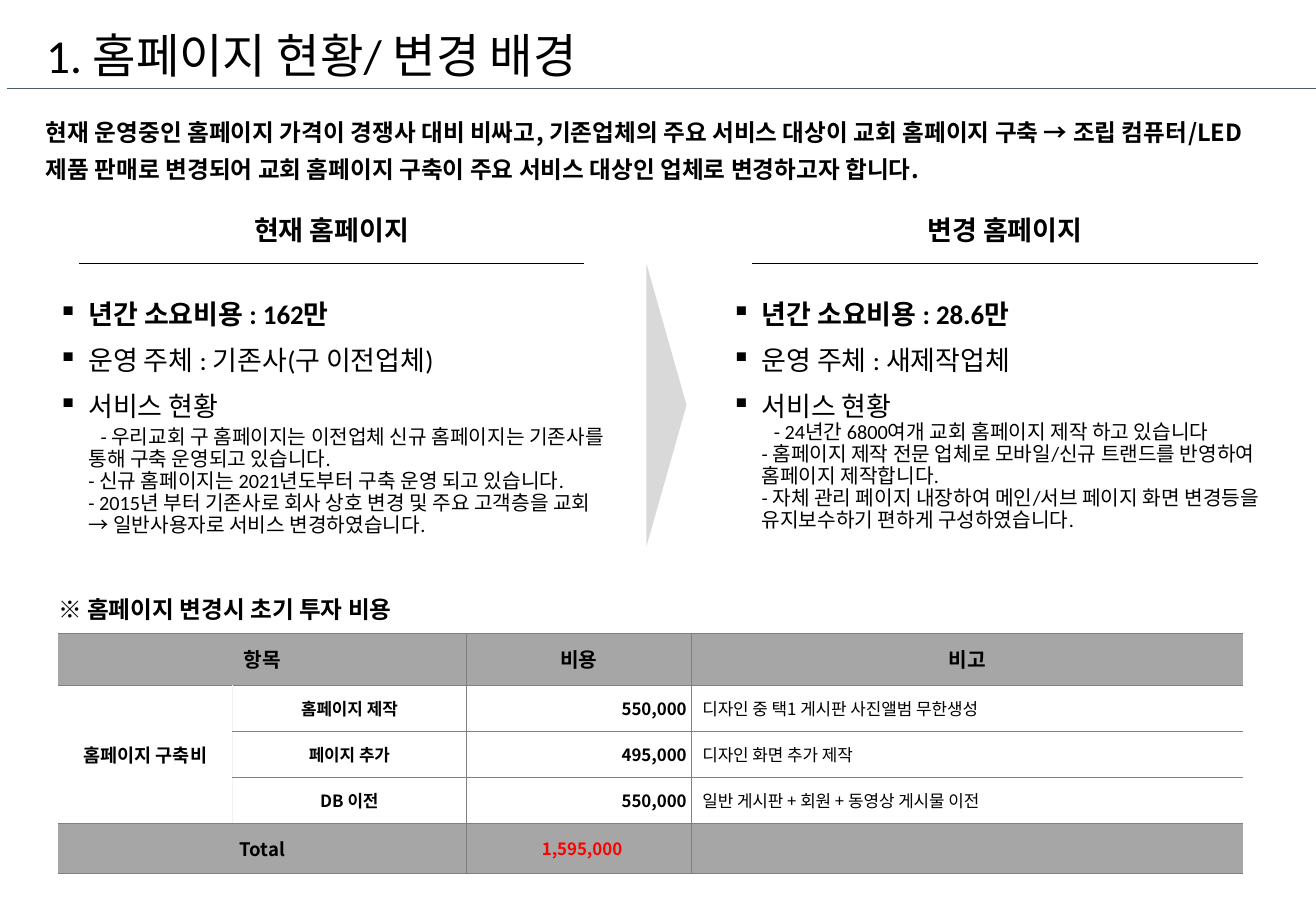
from dataclasses import dataclass

from lxml.etree import SubElement
from pptx import Presentation
from pptx.dml.color import RGBColor
from pptx.enum.shapes import MSO_CONNECTOR, MSO_SHAPE
from pptx.enum.text import MSO_ANCHOR as Anchor, PP_ALIGN as Align
from pptx.oxml.ns import qn
from pptx.util import Inches, Pt


@dataclass(frozen=True)
class Theme:
    text_font: str = "Calibri"
    strong_font: str = "Noto Sans CJK KR"
    black: str = "000000"
    white: str = "FFFFFF"
    red: str = "FF0000"
    band: str = "A6A6A6"
    arrow: str = "D9D9D9"
    rule: str = "4B5E61"
    border: str = "808080"
    faint_border: str = "F2F2F2"
    title: int = 28
    heading: int = 16
    lead: int = 14
    detail: int = 12
    label: int = 11
    small: int = 10
    tight: float = 0.9
    grid: float = 0.1


class SlideBuilder:
    """Places elements on a grid whose columns and rows are theme.grid inches."""

    def __init__(self, slide, theme):
        self.slide, self.theme = slide, theme

    def units(self, *counts):
        return [Inches(count * self.theme.grid) for count in counts]

    def style(self, paragraph, size, font=None, bold=False, color=None, align=Align.LEFT, spacing=None):
        paragraph.alignment = align
        if spacing:
            paragraph.line_spacing = spacing
        paragraph.font.name = font or self.theme.text_font
        paragraph.font.size = Pt(size)
        paragraph.font.bold = bold
        paragraph.font.color.rgb = RGBColor.from_string(color or self.theme.black)

    def title(self, text, *place):
        shape = self.slide.shapes.title
        shape.left, shape.top, shape.width, shape.height = self.units(*place)
        shape.text_frame.text = text
        shape.text_frame.vertical_anchor = Anchor.MIDDLE
        self.style(shape.text_frame.paragraphs[0], self.theme.title, spacing=self.theme.tight)

    def frame(self, *place, anchor=Anchor.TOP):
        frame = self.slide.shapes.add_textbox(*self.units(*place)).text_frame
        frame.word_wrap = True
        frame.vertical_anchor = anchor
        return frame

    def text(self, text, *place, anchor=Anchor.TOP, **style):
        paragraph = self.frame(*place, anchor=anchor).paragraphs[0]
        paragraph.text = text
        self.style(paragraph, **style)

    def points(self, points, details, detail_gap, *place):
        """Square-bulleted points, the first in bold, followed by smaller detail lines."""
        frame = self.frame(*place)
        for index, text in enumerate(points + details):
            paragraph = frame.paragraphs[0] if index == 0 else frame.add_paragraph()
            paragraph.text = text
            properties = paragraph._p.get_or_add_pPr()
            properties.set("marL", str(Inches(0.25)))
            is_point = index < len(points)
            if is_point:
                properties.set("indent", str(Inches(-0.25)))
                SubElement(properties, qn("a:buChar")).set("char", "▪")
                gap = 10 if index else 0
            else:
                first = index == len(points)
                properties.set("indent", str(Inches(0.1 if first else 0)))
                gap = detail_gap if first else 0
            paragraph.space_before = Pt(gap)
            size = self.theme.heading if is_point else self.theme.detail
            self.style(paragraph, size, bold=index == 0, spacing=self.theme.tight)

    def line(self, left, right, row, color):
        connector = self.slide.shapes.add_connector(MSO_CONNECTOR.STRAIGHT, *self.units(left, row, right, row))
        connector.line.color.rgb = RGBColor.from_string(color)
        connector.line.width = Pt(0.5)
        SubElement(connector._element.spPr, qn("a:effectLst"))

    def arrow(self, *place):
        shape = self.slide.shapes.add_shape(MSO_SHAPE.RIGHT_ARROW, *self.units(*place))
        shape.adjustments[0], shape.adjustments[1] = 0.5, 1
        shape.shadow.inherit = False
        shape.fill.solid()
        shape.fill.fore_color.rgb = RGBColor.from_string(self.theme.arrow)
        shape.line.fill.background()

    def border(self, cell, side, color, width=0.25):
        line = SubElement(cell._tc.get_or_add_tcPr(), qn(f"a:ln{side}"), w=str(Pt(width)))
        if color is None:
            SubElement(line, qn("a:noFill"))
        else:
            fill = SubElement(line, qn("a:solidFill"))
            SubElement(fill, qn("a:srgbClr"), val=color)

    def cost_table(self, rows, widths, heights, left, top):
        place = self.units(left, top, sum(widths), sum(heights))
        table = self.slide.shapes.add_table(len(rows), len(widths), *place).table
        table.first_row = table.horz_banding = False
        for column, width in zip(table.columns, self.units(*widths)):
            column.width = width
        for row, height in zip(table.rows, self.units(*heights)):
            row.height = height
        last = len(rows) - 1
        for row, texts in enumerate(rows):
            for column, text in enumerate(texts):
                self.cost_cell(table.cell(row, column), text, row, column, last, len(widths))
        for start, end in (((0, 0), (0, 1)), ((1, 0), (last - 1, 0)), ((last, 0), (last, 1))):
            table.cell(*start).merge(table.cell(*end))

    def cost_cell(self, cell, text, row, column, last, column_count):
        theme = self.theme
        in_body = 0 < row < last
        for side, edge in (("L", column), ("R", column + 1)):
            if edge in (0, column_count):
                self.border(cell, side, None)
            elif edge == 1 and in_body:
                self.border(cell, side, theme.faint_border, 0.75)
            else:
                self.border(cell, side, theme.border)
        for side in "TB":
            self.border(cell, side, theme.border)
        cell.fill.solid()
        cell.fill.fore_color.rgb = RGBColor.from_string(theme.white if in_body else theme.band)
        cell.vertical_anchor = Anchor.MIDDLE
        cell.margin_left = cell.margin_right = Inches(0.09)
        cell.margin_top = cell.margin_bottom = Inches(0.04)
        if column == 2 and row:
            cell.margin_right = Inches(0.04)
        cell.text = text
        size = theme.detail if row == 0 else theme.label if column == 0 else theme.small
        align = {2: Align.RIGHT, 3: Align.LEFT}.get(column, Align.CENTER) if in_body else Align.CENTER
        color = theme.red if (row, column) == (last, 2) else theme.black
        self.style(cell.text_frame.paragraphs[0], size, theme.strong_font,
                   not (in_body and column == 3), color, align)


COLUMN_STEP = 55.4
PAGES = [
    ("현재 홈페이지",
     ["년간 소요비용 : 162만", "운영 주체 : 기존사(구 이전업체)", "서비스 현황"],
     ["- 우리교회 구 홈페이지는 이전업체 신규 홈페이지는 기존사를 통해 구축 운영되고 있습니다.",
      "- 신규 홈페이지는 2021년도부터 구축 운영 되고 있습니다.",
      "- 2015년 부터 기존사로 회사 상호 변경 및 주요 고객층을 교회 → 일반사용자로 서비스 변경하였습니다."], 3),
    ("변경 홈페이지",
     ["년간 소요비용 : 28.6만", "운영 주체 : 새제작업체", "서비스 현황"],
     ["- 24년간 6800여개 교회 홈페이지 제작 하고 있습니다",
      "- 홈페이지 제작 전문 업체로 모바일/신규 트랜드를 반영하여 홈페이지 제작합니다.",
      "- 자체 관리 페이지 내장하여 메인/서브 페이지 화면 변경등을 유지보수하기 편하게 구성하였습니다."], 0),
]
COSTS = [
    ("항목", "", "비용", "비고"),
    ("홈페이지 구축비", "홈페이지 제작", "550,000", "디자인 중 택1 게시판 사진앨범 무한생성"),
    ("", "페이지 추가", "495,000", "디자인 화면 추가 제작"),
    ("", "DB 이전", "550,000", "일반 게시판 + 회원 + 동영상 게시물 이전"),
    ("Total", "", "1,595,000", ""),
]


def main():
    presentation = Presentation()
    presentation.slide_width, presentation.slide_height = Inches(10.83), Inches(7.5)
    theme = Theme()
    slide = presentation.slides.add_slide(presentation.slide_layouts[5])
    builder = SlideBuilder(slide, theme)

    builder.title("1. 홈페이지 현황/ 변경 배경", 2.8, 1.3, 102.8, 6.9)
    builder.line(0.6, 108.3, 7.3, theme.rule)
    builder.text("현재 운영중인 홈페이지 가격이 경쟁사 대비 비싸고, 기존업체의 주요 서비스 대상이 교회 홈페이지 구축 → 조립 "
                 "컴퓨터/LED 제품 판매로 변경되어 교회 홈페이지 구축이 주요 서비스 대상인 업체로 변경하고자 합니다.",
                 2.8, 8.5, 102.8, 7.9, size=theme.lead, font=theme.strong_font, bold=True, spacing=Pt(22))
    for index, (heading, points, details, detail_gap) in enumerate(PAGES):
        offset = index * COLUMN_STEP
        builder.text(heading, 1.6 + offset, 16.3, 51.4, 5.6, anchor=Anchor.MIDDLE, size=theme.heading,
                     bold=True, align=Align.CENTER, spacing=theme.tight)
        builder.line(6.5 + offset, 48.1 + offset, 21.7, theme.black)
        builder.points(points, details, detail_gap, 3.8 + offset, 24.3, 47, 20.6)
    builder.arrow(53.2, 21.7, 3.3, 23.3)
    builder.text("※ 홈페이지 변경시 초기 투자 비용", 3.8, 48.5, 40.6, 3.4,
                 size=theme.lead, font=theme.strong_font, bold=True)
    builder.cost_table(COSTS, (14.3, 19.3, 18.5, 45.4), (4.3, 3.8, 3.8, 3.8, 4.1), 4.8, 52.1)
    presentation.save("out.pptx")


if __name__ == "__main__":
    main()
